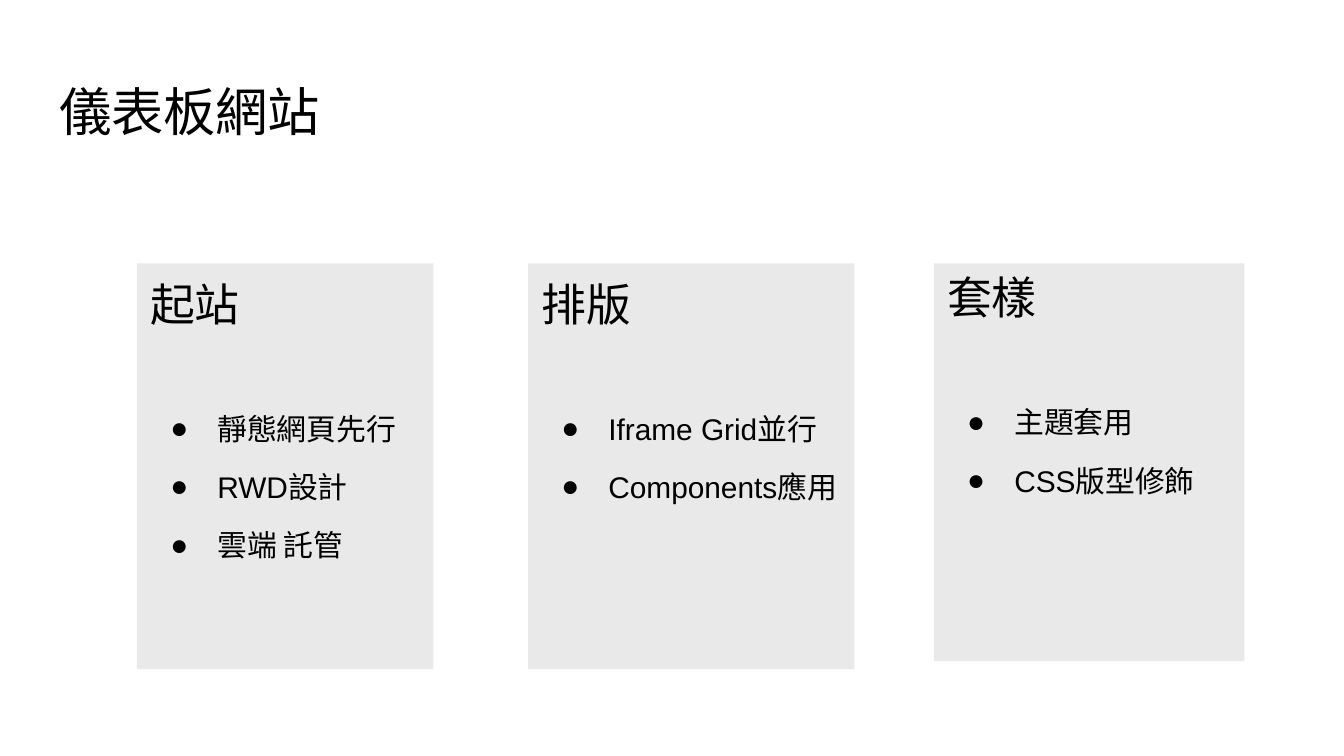
from lxml import etree
from pptx import Presentation, util as u
from pptx.dml.color import RGBColor
from pptx.enum import shapes, text
from pptx.oxml import ns

BLACK = RGBColor(0x00, 0x00, 0x00)
PANEL_GREY = RGBColor(0xE9, 0xE9, 0xE9)
FONT = "Arial"
INSET = 0.25
PANEL_TOP = 4.98

# Each panel: left, width, height, top inset (cm), heading, bullet items
PANELS = [
    (2.59, 5.6, 7.67, INSET, "起站", ["靜態網頁先行", "RWD設計", "雲端 託管"]),
    (9.98, 6.17, 7.67, INSET, "排版", ["Iframe Grid並行", "Components應用"]),
    (17.65, 5.87, 7.52, INSET / 2, "套樣", ["主題套用", "CSS版型修飾"]),
]


def set_frame(frame, top_inset=INSET):
    frame.word_wrap = True
    frame.vertical_anchor = text.MSO_ANCHOR.TOP
    frame.margin_left = frame.margin_right = u.Cm(INSET)
    frame.margin_top = frame.margin_bottom = u.Cm(top_inset)


def write(para, content, size, space_after=0):
    para.text = content
    para.alignment = text.PP_ALIGN.LEFT
    para.space_after = u.Pt(space_after)
    para.font.name = FONT
    para.font.size = u.Pt(size)
    para.font.color.rgb = BLACK


def add_bullet(para):
    props = para._p.get_or_add_pPr()
    props.set("marL", str(u.Cm(1.27)))
    props.set("indent", str(u.Cm(-0.89)))
    etree.SubElement(props, ns.qn("a:buFont")).set("typeface", FONT)
    etree.SubElement(props, ns.qn("a:buChar")).set("char", "●")


def add_title(page, left, top, width, height, content):
    box = page.shapes.add_textbox(u.Cm(left), u.Cm(top), u.Cm(width), u.Cm(height))
    set_frame(box.text_frame)
    write(box.text_frame.paragraphs[0], content, 28)


def add_panel(page, left, top, width, height, top_inset, heading, items):
    panel = page.shapes.add_shape(
        shapes.MSO_SHAPE.RECTANGLE, u.Cm(left), u.Cm(top), u.Cm(width), u.Cm(height))
    panel.shadow.inherit = False
    panel.fill.solid()
    panel.fill.fore_color.rgb = PANEL_GREY
    panel.line.fill.background()
    frame = panel.text_frame
    set_frame(frame, top_inset)

    # Heading, set well apart from the list
    write(frame.paragraphs[0], heading, 24, space_after=43)

    # Bulleted list
    for item in items:
        para = frame.add_paragraph()
        add_bullet(para)
        write(para, item, 16, space_after=12)


def main():
    deck = Presentation()
    deck.slide_width, deck.slide_height = u.Cm(25.4), u.Cm(14.29)
    page = deck.slides.add_slide(deck.slide_layouts[6])

    add_title(page, 0.87, 1.24, 23.67, 1.6, "儀表板網站")
    for left, width, height, top_inset, heading, items in PANELS:
        add_panel(page, left, PANEL_TOP, width, height, top_inset, heading, items)

    deck.save("out.pptx")


if __name__ == "__main__":
    main()
